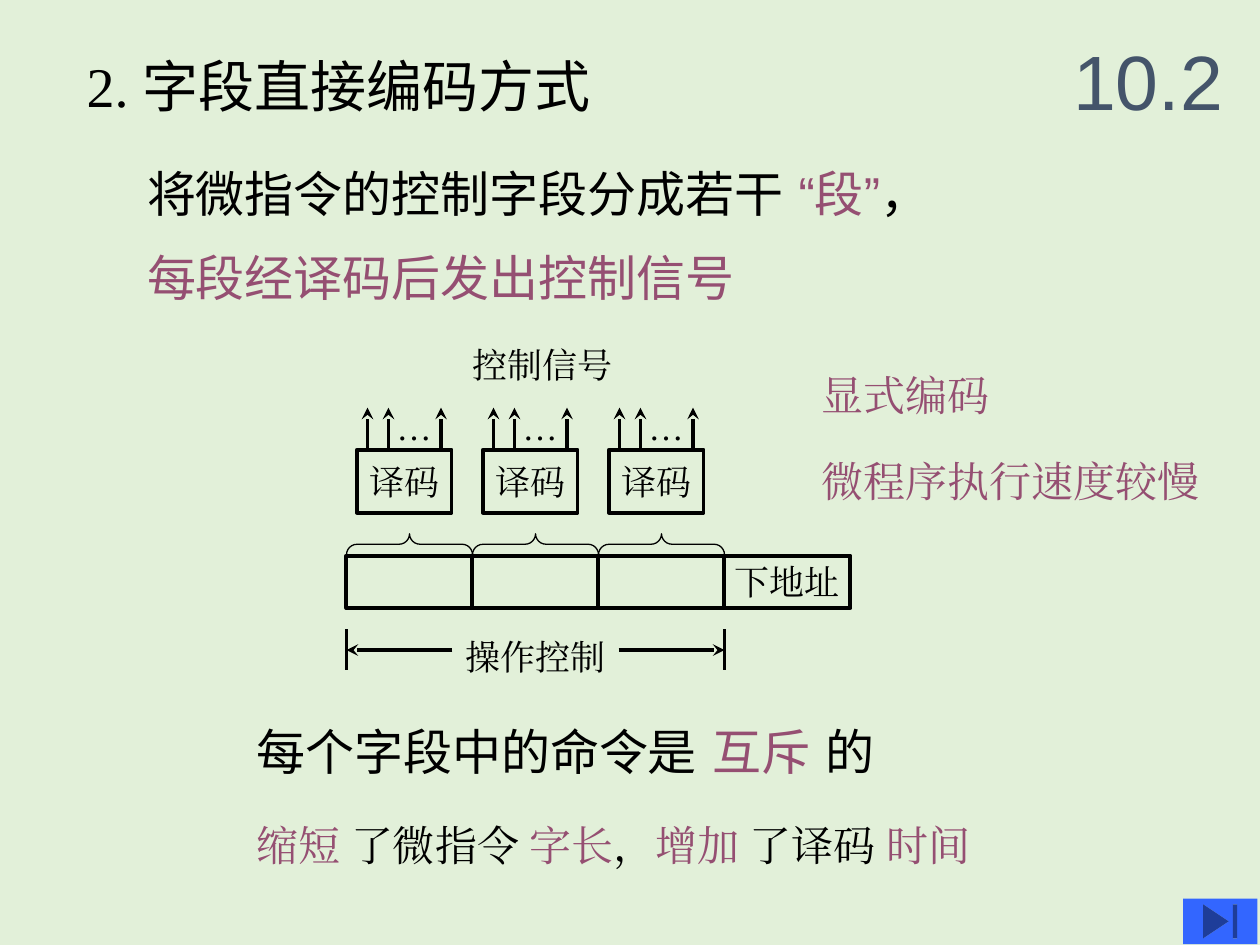
from dataclasses import dataclass

from pptx import Presentation
from pptx.dml.color import RGBColor
from pptx.enum.shapes import MSO_CONNECTOR, MSO_SHAPE
from pptx.enum.text import MSO_ANCHOR, MSO_AUTO_SIZE, PP_ALIGN
from pptx.oxml.ns import qn
from pptx.util import Pt
from lxml.etree import SubElement


@dataclass(frozen=True)
class Theme:
    """Colours, fonts and sizes of the slide."""
    paper: str = "E2F0D9"
    ink: str = "000000"
    accent: str = "954F72"
    number: str = "44546A"
    button: str = "3366FF"
    serif: str = "Times New Roman"
    sans: str = "DejaVu Sans"
    plain: str = "Arial"
    title: int = 44
    heading: int = 32
    body: int = 28
    note: int = 24
    label: int = 20
    thick: float = 2.25
    thin: float = 0.75


class SlideBuilder:
    """Draws elements on the current slide in the given theme."""

    def __init__(self, deck, theme):
        self.theme = theme
        self.page = deck.slides.add_slide(deck.slide_layouts[5])
        fill = self.page.background.fill
        fill.solid()
        fill.fore_color.rgb = RGBColor.from_string(theme.paper)

    def add_spans(self, para, spans, size):
        """Add (text, colour, font) runs to a paragraph."""
        for text, colour, font in spans:
            span = para.add_run()
            span.text = text
            span.font.size = Pt(size)
            span.font.name = font
            span.font.color.rgb = RGBColor.from_string(colour)
            SubElement(span.font._element, qn("a:ea")).set("typeface", font)

    def title(self, text, left, top, width, height):
        """Fill and place the title placeholder."""
        box = self.page.shapes.title
        box.left, box.top, box.width, box.height = map(Pt, (left, top, width, height))
        box.text_frame.vertical_anchor = MSO_ANCHOR.MIDDLE
        para = box.text_frame.paragraphs[0]
        para.alignment = PP_ALIGN.LEFT
        self.add_spans(para, [(text, self.theme.number, self.theme.plain)], self.theme.title)

    def text(self, lines, size, left, top, width, height, wrap=True):
        """Add a text box with one paragraph for each line of runs."""
        box = self.page.shapes.add_textbox(*map(Pt, (left, top, width, height)))
        frame = box.text_frame
        frame.word_wrap = wrap
        frame.auto_size = MSO_AUTO_SIZE.SHAPE_TO_FIT_TEXT
        for index, spans in enumerate(lines):
            para = frame.add_paragraph() if index else frame.paragraphs[0]
            if index:
                para.space_before = Pt(size / 2)
            self.add_spans(para, spans, size)

    def label(self, text, left, top, width):
        """Add a one-line diagram label."""
        spans = [(text, self.theme.ink, self.theme.serif)]
        self.text([spans], self.theme.label, left, top, width, 31, wrap=False)

    def shape(self, kind, left, top, width, height, weight=None, fill=None):
        """Add a preset shape with an optional outline and fill."""
        shape = self.page.shapes.add_shape(kind, *map(Pt, (left, top, width, height)))
        shape.shadow.inherit = False
        if fill:
            shape.fill.solid()
            shape.fill.fore_color.rgb = RGBColor.from_string(fill)
        else:
            shape.fill.background()
        if weight:
            shape.line.width = Pt(weight)
            shape.line.color.rgb = RGBColor.from_string(self.theme.ink)
        else:
            shape.line.fill.background()
        return shape

    def cell(self, left, top, width, height, text=None):
        """Add an outlined rectangle, with centred text if given."""
        cell = self.shape(MSO_SHAPE.RECTANGLE, left, top, width, height, self.theme.thick)
        if text:
            frame = cell.text_frame
            frame.word_wrap = False
            frame.vertical_anchor = MSO_ANCHOR.MIDDLE
            para = frame.paragraphs[0]
            para.alignment = PP_ALIGN.CENTER
            self.add_spans(para, [(text, self.theme.ink, self.theme.serif)], self.theme.label)

    def brace(self, left, top, width, height):
        """Add a brace that opens downwards."""
        shift = (width - height) / 2
        brace = self.shape(MSO_SHAPE.LEFT_BRACE, left + shift, top - shift,
                           height, width, self.theme.thin)
        brace.rotation = 90
        brace.adjustments[0] = brace.adjustments[1] = 0.5

    def line(self, start_x, start_y, end_x, end_y, arrow=False):
        """Add a straight line, with an arrowhead at its end if asked."""
        line = self.page.shapes.add_connector(
            MSO_CONNECTOR.STRAIGHT, *map(Pt, (start_x, start_y, end_x, end_y)))
        line.line.width = Pt(self.theme.thick)
        line.line.color.rgb = RGBColor.from_string(self.theme.ink)
        properties = line._element.spPr
        if arrow:
            SubElement(properties.find(qn("a:ln")), qn("a:tailEnd")).set("type", "stealth")
        SubElement(properties, qn("a:effectLst"))


def draw_diagram(slide):
    """Draw the microinstruction fields with their decoders."""
    left, pitch, field_top, field_height = 198, 72, 317.5, 30
    decoder_top, arrow_top = 257, 233
    for index in range(3):
        field = left + index * pitch
        slide.cell(field + 6, decoder_top, 54, 36, "译码")
        for offset in (12, 24, 54):
            slide.line(field + offset, decoder_top, field + offset, arrow_top, arrow=True)
        slide.label("…", field + 21.6, 228.2, 34.6)
        slide.cell(field, field_top, pitch, field_height)
        slide.brace(field, 305, pitch, 12)
    right = left + 3 * pitch
    slide.cell(right, field_top, pitch, field_height, "下地址")
    for edge, inner in ((left, left + 60.5), (right, right - 60.5)):
        slide.line(edge, 359.5, edge, 383)
        slide.line(inner, 371.5, edge, 371.5, arrow=True)
    slide.label("操作控制", 259, 359.5, 95)
    slide.label("控制信号", 262.7, 192.5, 95)


def main():
    """Build and save the slide."""
    theme = Theme()
    deck = Presentation()
    deck.slide_width, deck.slide_height = Pt(720), Pt(540)
    slide = SlideBuilder(deck, theme)
    ink, accent, sans, serif = theme.ink, theme.accent, theme.sans, theme.serif

    slide.title("10.2", 606, 12.5, 114, 66)
    slide.text([[("2. ", ink, serif), ("字段直接编码方式", ink, sans)]],
               theme.heading, 42.5, 26, 623.5, 45.5)
    slide.text([[("将微指令的控制字段分成若干 ", ink, sans), ("“", accent, theme.plain),
                 ("段", accent, sans), ("”", accent, theme.plain), ("，", ink, sans)],
                [("每段经译码后发出控制信号", accent, sans)]],
               theme.body, 77, 90, 601, 91.5)
    slide.text([[("每个字段中的命令是 ", ink, sans), ("互斥 ", accent, sans), ("的", ink, sans)]],
               theme.body, 139.5, 409, 414, 41)
    draw_diagram(slide)
    slide.text([[("缩短 ", accent, serif), ("了微指令 ", ink, serif), ("字长", accent, serif),
                 ("，", ink, serif), ("增加 ", accent, serif), ("了译码 ", ink, serif),
                 ("时间", accent, serif)]],
               theme.note, 139.5, 465, 425, 36, wrap=False)
    for text, top, width in (("显式编码", 207.5, 170), ("微程序执行速度较慢", 256.5, 230.5)):
        slide.text([[(text, accent, serif)]], theme.note, 462.5, top, width, 36)
    slide.shape(MSO_SHAPE.ACTION_BUTTON_END, 676, 513.5, 42.5, 26, fill=theme.button)
    deck.save("out.pptx")


if __name__ == "__main__":
    main()
